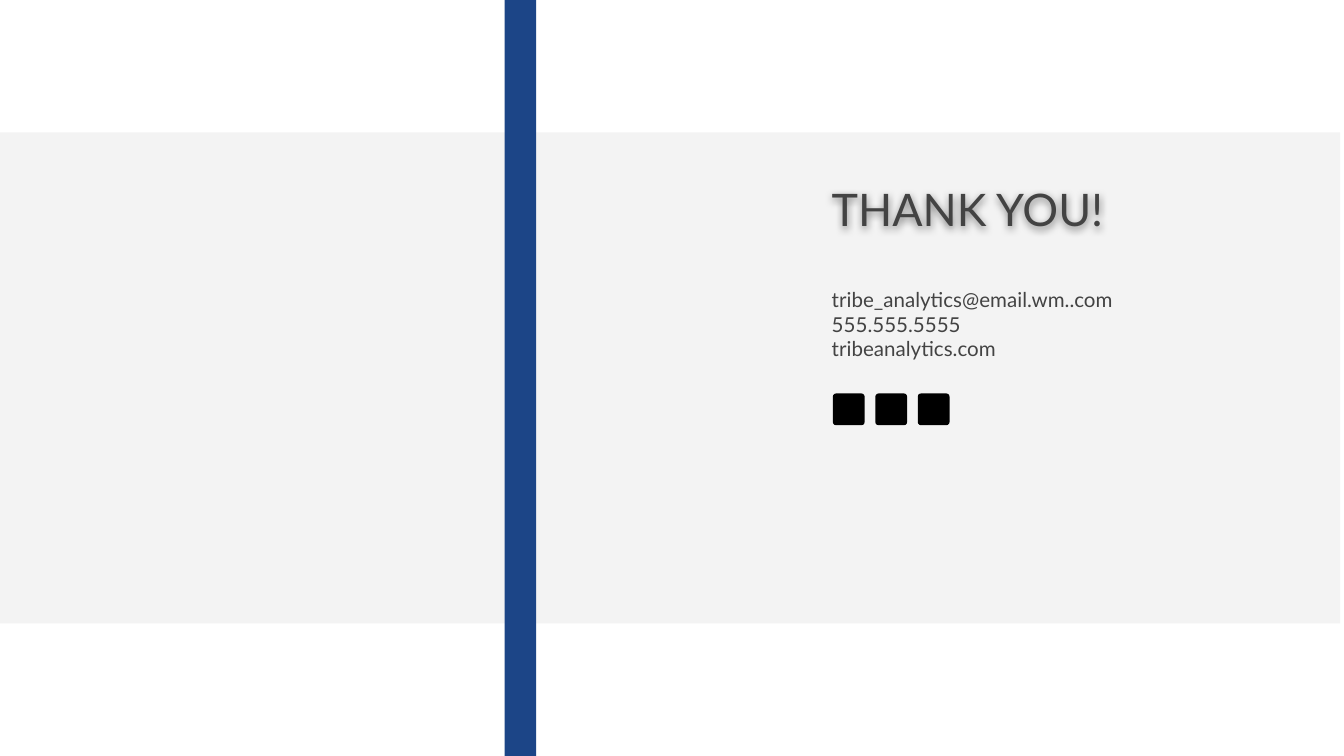
from lxml import etree
from pptx import Presentation
from pptx import util as u
from pptx.dml.color import RGBColor
from pptx.enum import shapes, text
from pptx.oxml import ns

Pt = u.Pt
MSO = shapes.MSO_SHAPE


def add_block(kind, x, y, w, h, color):
    sp = s.shapes.add_shape(kind, Pt(x), Pt(y), Pt(w), Pt(h))
    sp.shadow.inherit = False
    sp.fill.solid()
    sp.fill.fore_color.rgb = RGBColor.from_string(color)
    sp.line.fill.background()
    return sp


def add_text(lines, x, y, w, h, size=11, color="434343", font="Lato",
             anchor=text.MSO_ANCHOR.TOP, top=7.2):
    sp = s.shapes.add_textbox(Pt(x), Pt(y), Pt(w), Pt(h))
    tf = sp.text_frame
    tf.word_wrap = True
    tf.vertical_anchor = anchor
    tf.margin_left = tf.margin_right = tf.margin_bottom = Pt(7.2)
    tf.margin_top = Pt(top)
    for i, line in enumerate(lines):
        p = tf.paragraphs[0] if i == 0 else tf.add_paragraph()
        r = p.add_run()
        r.text = line
        r.font.size = Pt(size)
        r.font.name = font
        r.font.color.rgb = RGBColor.from_string(color)
    return sp


prs = Presentation()
prs.slide_width, prs.slide_height = Pt(720), Pt(405)
s = prs.slides.add_slide(prs.slide_layouts[6])

# Grey band
add_block(MSO.RECTANGLE, -2, 71, 720, 263, "F3F3F3")

# Contact details
add_text(["tribe_analytics@email.wm..com", "555.555.5555", "tribeanalytics.com"],
         438.5, 133.2, 186.5, 66.2, top=20.5)

# Title with a soft shadow
title = add_text(["THANK YOU!"], 438.5, 113.8, 175.7, 19.4, size=24,
                 anchor=text.MSO_ANCHOR.BOTTOM)
effects = etree.SubElement(title._element.spPr, ns.qn("a:effectLst"))
shadow = etree.SubElement(effects, ns.qn("a:outerShdw"), blurRad=str(Pt(4.5)),
                          dist=str(Pt(1.5)), dir="5400000", algn="bl", rotWithShape="0")
black = etree.SubElement(shadow, ns.qn("a:srgbClr"), val="000000")
etree.SubElement(black, ns.qn("a:alpha"), val="50000")

# Blue vertical bar
add_block(MSO.RECTANGLE, 270.3, -1.5, 17, 408, "1C4587")

# Plain social icons
for i in range(3):
    icon = add_block(MSO.ROUNDED_RECTANGLE, 446.2 + i * 22.75, 210.8, 17, 17, "000000")
    icon.adjustments[0] = 0.1

# Grey panel below the icons
add_block(MSO.RECTANGLE, 425.5, 251.3, 211, 59, "F3F3F3")

prs.save("out.pptx")
